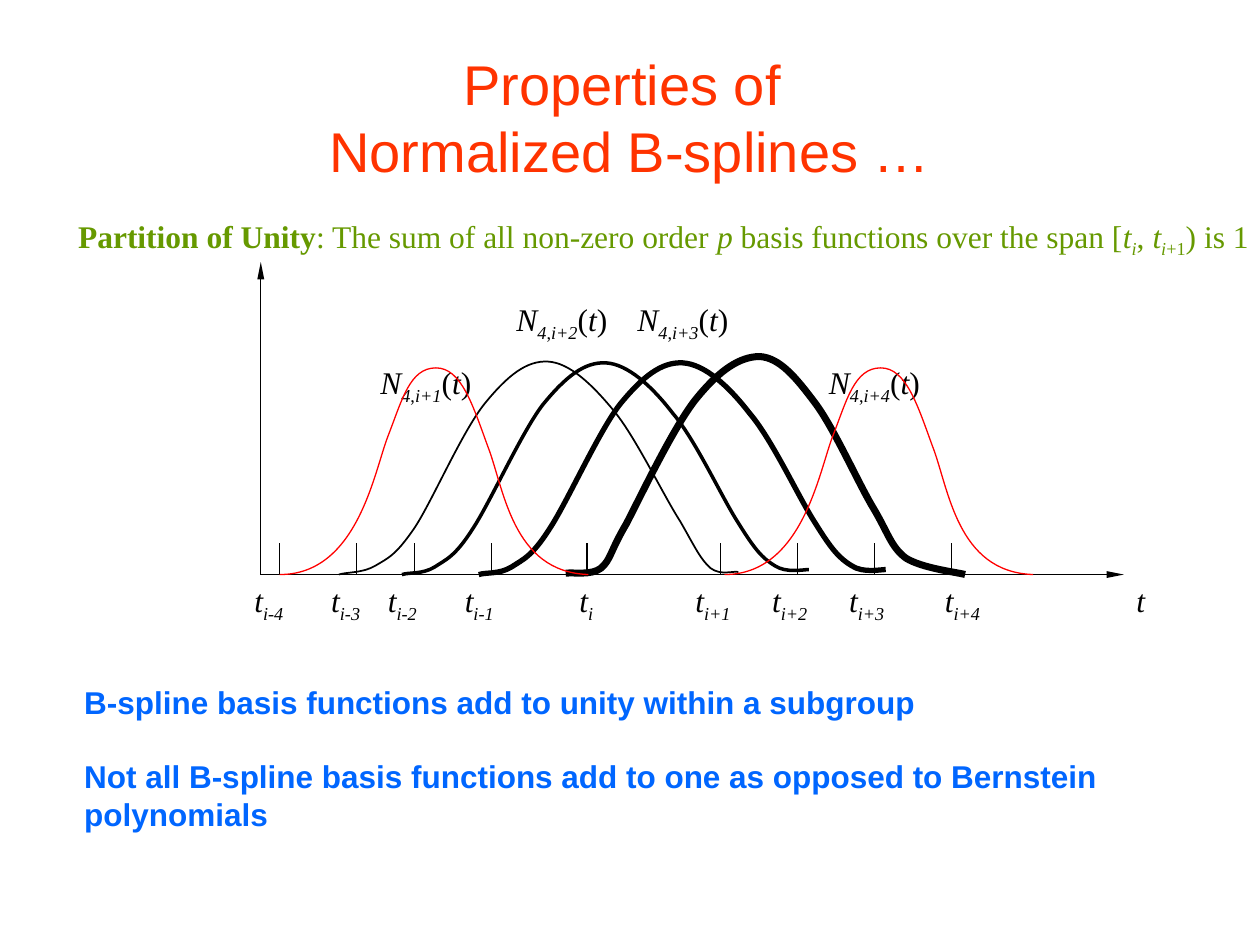
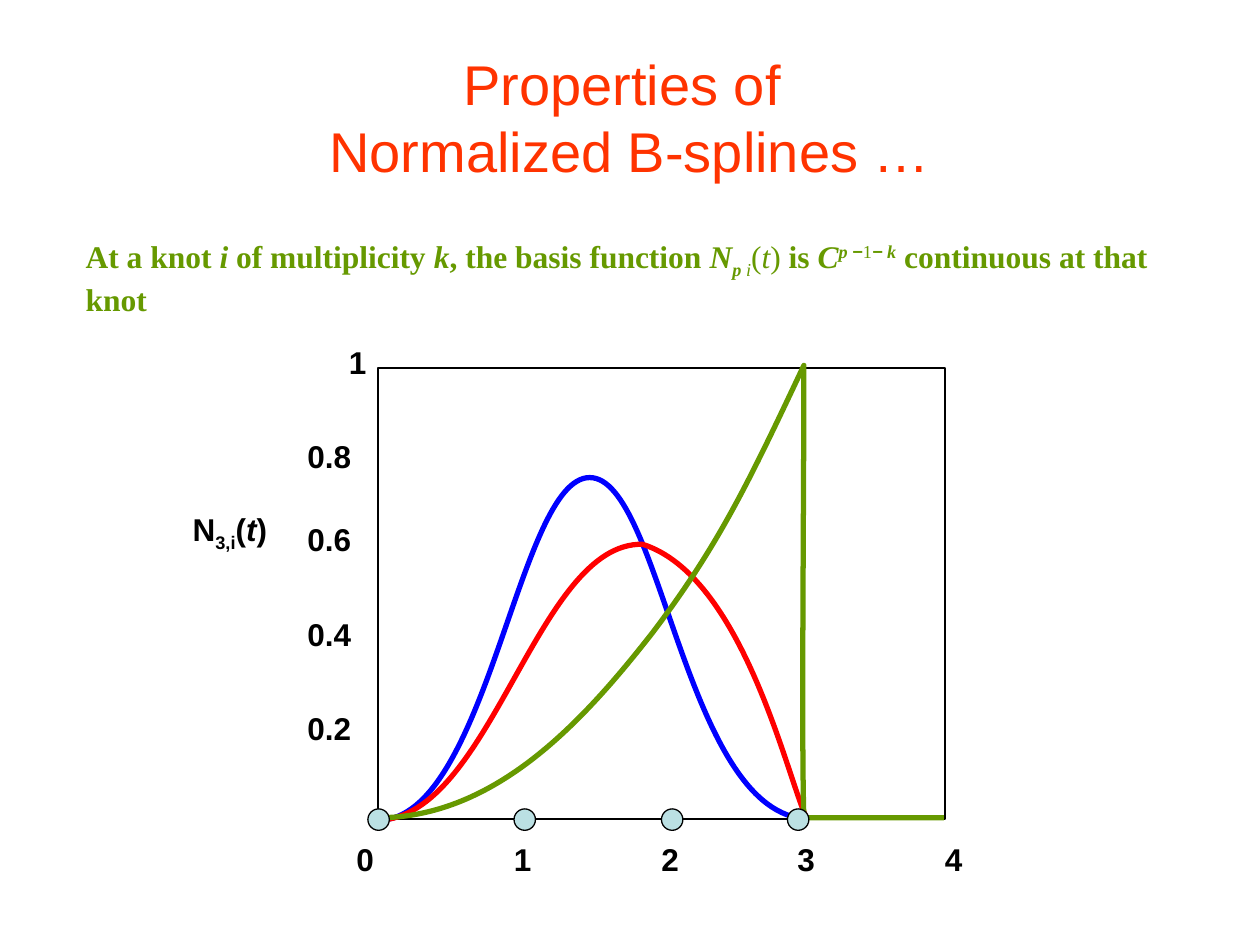
from lxml import etree
from pptx import Presentation
from pptx.dml.color import RGBColor
from pptx.enum import shapes, text
from pptx.oxml.ns import qn
from pptx.util import Inches, Pt

BLACK, RED, ORANGE, GREEN = "000000", "FF0000", "FF3300", "669900"
BLUE, CURVE_BLUE, KNOT_FILL = "0066FF", "0000FF", "BBE0E3"
SANS, SERIF = "Arial", "Times New Roman"
BASELINES = {"_": "-25000", "^": "30000"}


def rgb(value):
    return RGBColor.from_string(value)


def set_line(shape, color, width):
    shape.line.color.rgb = rgb(color)
    shape.line.width = Pt(width)


def add_runs(p, runs, font, color):
    """Add (text, style) runs; style holds b, i, a (sans), _ (sub) and ^ (super)."""
    for words, style in runs:
        r = p.add_run()
        r.text = words
        r.font.name = SANS if "a" in style else font
        r.font.size = Pt(18)
        r.font.color.rgb = rgb(color)
        r.font.bold = "b" in style
        r.font.italic = "i" in style
        for mark, baseline in BASELINES.items():
            if mark in style:
                r._r.get_or_add_rPr().set("baseline", baseline)


def add_text(s, box, paragraphs, font=SERIF, color=BLACK, indent=0):
    tb = s.shapes.add_textbox(*map(Inches, box))
    tf = tb.text_frame
    tf.word_wrap = True
    tf.margin_left = Inches(0.1 + indent)
    tf.margin_right = 0
    for n, runs in enumerate(paragraphs):
        p = tf.add_paragraph() if n else tf.paragraphs[0]
        add_runs(p, runs, font, color)


def add_title(s):
    sp = s.shapes.title
    sp.left, sp.top, sp.width, sp.height = map(Inches, (0.5, 0.3, 9, 1.25))
    tf = sp.text_frame
    tf.text = "Properties of \vNormalized B-splines …"
    tf.auto_size = text.MSO_AUTO_SIZE.NONE
    tf.vertical_anchor = text.MSO_ANCHOR.MIDDLE
    p = tf.paragraphs[0]
    p.alignment = text.PP_ALIGN.CENTER
    for r in p.runs:
        r.font.name, r.font.size = SANS, Pt(32)
        r.font.color.rgb = rgb(ORANGE)


def add_segment(s, start, end, arrow=False):
    line = s.shapes.add_connector(
        shapes.MSO_CONNECTOR.STRAIGHT, *map(Inches, (*start, *end)))
    set_line(line, BLACK, 0.75)
    if arrow:
        etree.SubElement(line.line._get_or_add_ln(), qn("a:tailEnd"),
                         type="triangle", w="sm", len="lg")
    etree.SubElement(line._element.spPr, qn("a:effectLst"))


def bend_segments(curve):
    """Turn every three straight segments into one cubic curve."""
    segments = list(curve._element.iter(qn("a:lnTo")))
    for first, second, third in zip(*[iter(segments)] * 3):
        first.tag = qn("a:cubicBezTo")
        for segment in (second, third):
            first.append(segment[0])
            segment.getparent().remove(segment)


def add_curve(s, left, top, points, color, width):
    """Draw a chain of cubics: a start point, then three points per curve."""
    start, *rest = [(Inches(left + x), Inches(top + y)) for x, y in points]
    builder = s.shapes.build_freeform(*start)
    builder.add_line_segments(rest, close=False)
    curve = builder.convert_to_shape()
    bend_segments(curve)
    curve.shadow.inherit = False
    curve.fill.background()
    set_line(curve, color, width)


def shifted(points, dx):
    return [(x + dx, y) for x, y in points]


KNOTS = [  # position, label offset, subscript
    (0.22, -0.3, "i-4"), (0.83, -0.3, "i-3"), (1.29, -0.31, "i-2"),
    (1.9, -0.31, "i-1"), (2.66, -0.16, "i"), (3.72, -0.3, "i+1"),
    (4.33, -0.3, "i+2"), (4.94, -0.3, "i+3"), (5.55, -0.15, "i+4"),
]
BASIS_LABELS = [(0.92, 0.83, "i+1"), (2, 0.33, "i+2"),
                (2.96, 0.33, "i+3"), (4.48, 0.83, "i+4")]
THIN_BASIS = [
    (3.86, 2.54), (3.82, 2.53), (3.72, 2.57), (3.64, 2.51), (3.56, 2.44),
    (3.52, 2.35), (3.4, 2.14), (3.27, 1.94), (3.05, 1.48), (2.88, 1.27),
    (2.7, 1.05), (2.52, 0.88), (2.35, 0.87), (2.18, 0.86), (2.03, 0.98),
    (1.85, 1.2), (1.67, 1.42), (1.43, 1.98), (1.29, 2.19), (1.14, 2.41),
    (1.08, 2.43), (0.98, 2.49), (0.88, 2.55), (0.75, 2.54), (0.69, 2.56)]
MIDDLE_BASIS = [
    (4.42, 2.52), (4.38, 2.52), (4.24, 2.55), (4.15, 2.49), (4.05, 2.43),
    (3.99, 2.36), (3.86, 2.15), (3.73, 1.95), (3.52, 1.49), (3.34, 1.28),
    (3.17, 1.06), (2.98, 0.89), (2.81, 0.88), (2.64, 0.87), (2.49, 0.99),
    (2.31, 1.21), (2.14, 1.43), (1.89, 1.99), (1.75, 2.2), (1.61, 2.42),
    (1.54, 2.44), (1.45, 2.5), (1.35, 2.56), (1.25, 2.54), (1.19, 2.56)]
THICK_BASIS = [
    (5.66, 2.56), (5.58, 2.54), (5.32, 2.51), (5.19, 2.43), (5.07, 2.34),
    (5.05, 2.23), (4.93, 2.03), (4.81, 1.83), (4.62, 1.4), (4.47, 1.2),
    (4.32, 1), (4.19, 0.84), (4.03, 0.83), (3.87, 0.83), (3.71, 0.94),
    (3.53, 1.16), (3.35, 1.38), (3.09, 1.93), (2.97, 2.16), (2.84, 2.38),
    (2.85, 2.44), (2.77, 2.51), (2.69, 2.57), (2.55, 2.54), (2.49, 2.55)]
OUTER_BASIS = [
    (0.22, 2.56), (0.84, 2.56), (0.97, 1.74), (1.08, 1.46), (1.19, 1.18),
    (1.25, 0.92), (1.46, 0.92), (1.66, 0.92), (1.75, 1.21), (1.87, 1.54),
    (2, 1.87), (2.06, 2.54), (2.67, 2.56)]


def draw_basis_plot(s, left, top):
    """Draw the overlapping basis functions over their knots."""
    axis_x, axis_y = left + 0.07, top + 2.56
    for end in ((axis_x, top + 0.08), (left + 6.92, axis_y)):
        add_segment(s, (axis_x, axis_y), end, arrow=True)
    for x, offset, index in KNOTS:
        add_segment(s, (left + x, axis_y - 0.25), (left + x, axis_y))
        add_text(s, (left + x + offset, axis_y, 0.61, 0.74),
                 [[("t", "i"), (index, "i_")]])
    for points, width in ((THIN_BASIS, 1), (MIDDLE_BASIS, 2),
                          (shifted(MIDDLE_BASIS, 0.61), 3), (THICK_BASIS, 4)):
        add_curve(s, left, top, points, BLACK, width)
    add_text(s, (left + 6.92, axis_y, 0.46, 0.74), [[("t", "i")]])
    for x, y, index in BASIS_LABELS:
        add_text(s, (left + x, top + y, 1.12, 0.74),
                 [[("N", "i"), ("4", "i_"), (",", "_"), (index, "i_"),
                   ("(", ""), ("t", "i"), (")", "")]])
    for dx in (0, 3.53):
        add_curve(s, left, top, shifted(OUTER_BASIS, dx), RED, 0.75)


X_LABELS = [("0", -0.27), ("1", 0.98), ("2", 2.15), ("3", 3.23), ("4", 4.4)]
Y_LABELS = [("1", -0.33, -0.25), ("0.8", -0.66, 0.5), ("0.6", -0.66, 1.16),
            ("0.4", -0.66, 1.91), ("0.2", -0.66, 2.66)]
KNOT_CURVES = [
    (CURVE_BLUE, [(0, 3.59), (0.87, 3.59), (1.11, 0.87), (1.68, 0.87),
                  (2.25, 0.87), (2.44, 3.56), (3.42, 3.58)]),
    (RED, [(0, 3.59), (0.9, 3.57), (1.26, 1.38), (2.1, 1.4),
           (2.89, 1.65), (3.24, 3.22), (3.4, 3.57)]),
    (GREEN, [(0, 3.57), (0.94, 3.57), (1.64, 2.79), (2.18, 2.1),
             (2.71, 1.4), (2.95, 0.89), (3.38, -0.02),
             (3.38, 1.11), (3.36, 2.95), (3.38, 3.57),
             (4.14, 3.57), (3.94, 3.57), (4.49, 3.57)]),
]


def add_preset(s, kind, box, fill=None):
    sp = s.shapes.add_shape(kind, *map(Inches, box))
    sp.shadow.inherit = False
    if fill:
        sp.fill.solid()
        sp.fill.fore_color.rgb = rgb(fill)
    else:
        sp.fill.background()
    set_line(sp, BLACK, 0.75)


def draw_knot_plot(s, left, top, width, height):
    """Draw the framed plot with its scales, curves and knot dots."""
    add_preset(s, shapes.MSO_SHAPE.RECTANGLE, (left, top, width, height))
    labels = [(label, x, height + 0.12) for label, x in X_LABELS] + Y_LABELS
    for label, x, y in labels:
        box_width = 0.34 if len(label) == 1 else 0.55
        add_text(s, (left + x, top + y, box_width, 0.4), [[(label, "b")]], SANS)
    add_text(s, (left - 1.57, top + 1.08, 0.79, 0.44),
             [[("N", "b"), ("3,i", "b_"), ("(", "b"), ("t", "bi"), (")", "b")]],
             SANS)
    for color, points in KNOT_CURVES:
        add_curve(s, left, top, points, color, 3)
    for x in (1.16, 2.33, 3.33, 0):
        add_preset(s, shapes.MSO_SHAPE.OVAL,
                   (left + x - 0.08, top + height - 0.08, 0.17, 0.17), KNOT_FILL)


def new_slide(prs):
    s = prs.slides.add_slide(prs.slide_layouts[5])
    add_title(s)
    return s


def unity_slide(prs):
    s = new_slide(prs)
    add_text(s, (0.02, 1.67, 9.98, 0.44), [[
        ("Partition of Unity", "b"), (": The sum of all non-zero order ", ""),
        ("p ", "i"), ("basis functions over the span [", ""), ("t", "i"),
        ("i", "i_"), (", ", ""), ("t", "i"), ("i", "i_"), ("+1", "_"),
        (") is 1", "")]], color=GREEN, indent=0.5)
    draw_basis_plot(s, 2, 2)
    add_text(s, (0.57, 5.37, 6.79, 0.4),
             [[("B-spline basis functions add to unity within a subgroup", "b")]],
             SANS, BLUE)
    add_text(s, (0.57, 5.96, 8.24, 0.7),
             [[("Not all B-spline basis functions add to one as opposed to "
                "Bernstein", "b")], [("polynomials", "b")]], SANS, BLUE)


def continuity_slide(prs):
    s = new_slide(prs)
    add_text(s, (0.08, 1.83, 9.5, 0.44), [[
        ("At a knot ", "b"), ("i", "bi"), (" of multiplicity ", "b"),
        ("k", "bi"), (", the basis function ", "b"), ("N", "bi"),
        ("p ", "bi_"), ("i", "i_"), ("(", ""), ("t", "i"), (")", ""),
        (" is ", "b"), ("C", "bi"), ("p ", "bi^"), ("−", "abi^"), ("1", "^"),
        ("−", "abi^"), (" k", "bi^"), (" continuous at that knot", "b")]],
        color=GREEN, indent=0.5)
    draw_knot_plot(s, 3, 2.92, 4.5, 3.58)


def main():
    prs = Presentation()
    prs.slide_width, prs.slide_height = Inches(10), Inches(7.5)
    unity_slide(prs)
    continuity_slide(prs)
    prs.save("out.pptx")


if __name__ == "__main__":
    main()
